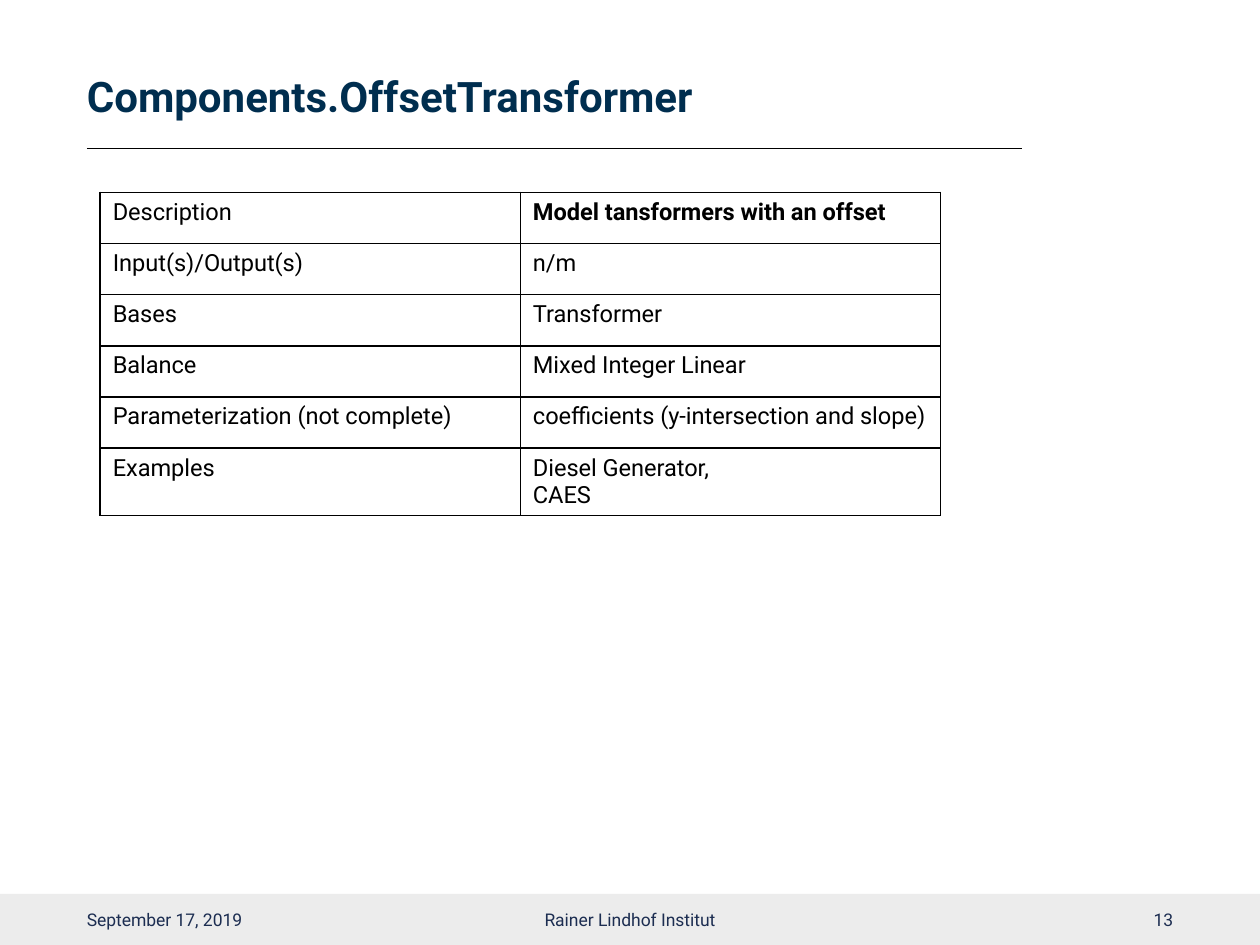
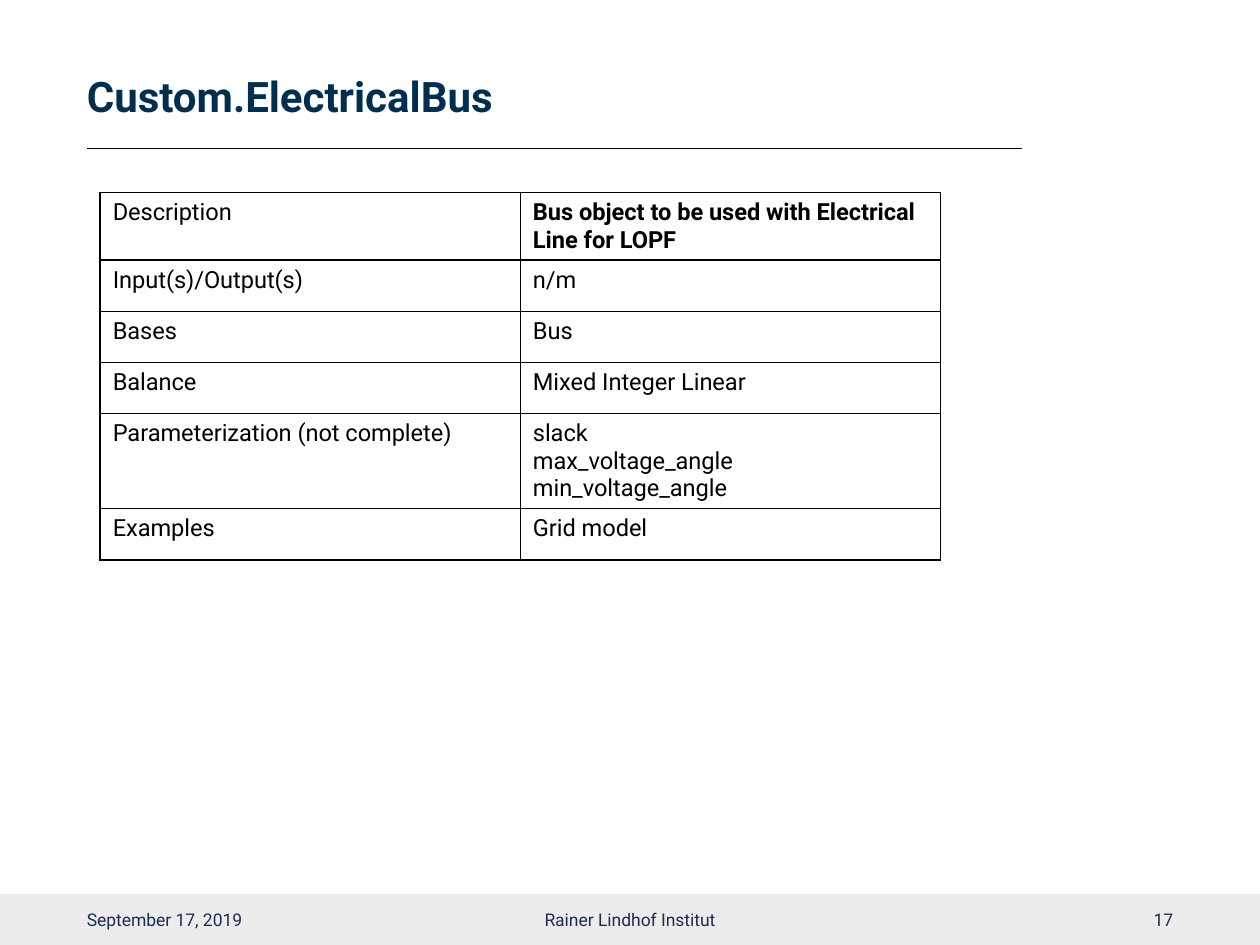
from lxml.etree import SubElement
from pptx import Presentation
from pptx.dml.color import RGBColor
from pptx.enum.shapes import MSO_CONNECTOR, MSO_SHAPE
from pptx.enum.text import MSO_ANCHOR, MSO_AUTO_SIZE, PP_ALIGN
from pptx.oxml.ns import qn
from pptx.util import Cm, Pt

COLORS = {
    "title": "002E4F",
    "footer_text": "1C2D51",
    "footer_band": "ECECEC",
    "black": "000000",
}
FONT = "Roboto"
TITLE_ONLY = 5
SLIDE_WIDTH, SLIDE_HEIGHT = 25.4, 19.05
MARGIN = 1.75

# Boxes are left, top, width, height in centimetres.
TITLE_BOX = (MARGIN, 0.97, 18.86, 2.03)
TABLE_BOX = (2.02, 3.88, 16.94, 6.18)
FOOTER_BOX = (0, 18.02, SLIDE_WIDTH, 1.03)

FOOTER_DATE = "September 17, 2019"
FOOTER_INSTITUTE = "Rainer Lindhof Institut"
ROW_LABELS = [
    "Description",
    "Input(s)/Output(s)",
    "Bases",
    "Balance",
    "Parameterization (not complete)",
    "Examples",
]
COMPONENTS = [
    {
        "title": "Components.OffsetTransformer",
        "number": 13,
        "values": [
            "Model tansformers with an offset",
            "n/m",
            "Transformer",
            "Mixed Integer Linear",
            "coefficients (y-intersection and slope)",
            "Diesel Generator,\nCAES",
        ],
    },
    {
        "title": "Custom.ElectricalBus",
        "number": 17,
        "values": [
            "Bus object to be used with Electrical Line for LOPF",
            "n/m",
            "Bus",
            "Mixed Integer Linear",
            "slack\nmax_voltage_angle\nmin_voltage_angle",
            "Grid model",
        ],
    },
]


def color(name):
    return RGBColor.from_string(COLORS[name])


def format_text(text_frame, size, color_name, bold=False, alignment=PP_ALIGN.LEFT):
    for paragraph in text_frame.paragraphs:
        paragraph.alignment = alignment
        for run in paragraph.runs:
            run.font.name = FONT
            run.font.size = Pt(size)
            run.font.bold = bold
            run.font.color.rgb = color(color_name)


def set_frame(text_frame, margin_left, margin_right):
    text_frame.word_wrap = True
    text_frame.auto_size = MSO_AUTO_SIZE.NONE
    text_frame.vertical_anchor = MSO_ANCHOR.MIDDLE
    text_frame.margin_left, text_frame.margin_right = Cm(margin_left), Cm(margin_right)
    text_frame.margin_top = text_frame.margin_bottom = Cm(0.13)


def add_title(slide, box, text):
    """Fill the title placeholder and underline it along the bottom of the box."""
    left, top, width, height = box
    title = slide.shapes.title
    title.left, title.top, title.width, title.height = map(Cm, box)
    text_frame = title.text_frame
    text_frame.text = text
    set_frame(text_frame, 0, 0.25)
    format_text(text_frame, 24, "title", bold=True)
    text_frame.paragraphs[0].line_spacing = 0.9

    bottom = Cm(top + height)
    rule = slide.shapes.add_connector(
        MSO_CONNECTOR.STRAIGHT, Cm(left), bottom, Cm(left + width), bottom
    )
    rule.line.color.rgb = color("black")
    rule.line.width = Pt(0.5)
    SubElement(rule._element.spPr, qn("a:effectLst"))


def add_footer(slide, box, number):
    left, top, width, height = box
    band = slide.shapes.add_shape(MSO_SHAPE.RECTANGLE, *map(Cm, box))
    band.shadow.inherit = False
    band.fill.solid()
    band.fill.fore_color.rgb = color("footer_band")
    band.line.fill.background()

    side_width, center_width = 5.72, 8.58
    entries = [
        (FOOTER_DATE, MARGIN, side_width, PP_ALIGN.LEFT),
        (FOOTER_INSTITUTE, (width - center_width) / 2, center_width, PP_ALIGN.CENTER),
        (str(number), width - MARGIN - side_width, side_width, PP_ALIGN.RIGHT),
    ]
    for text, offset, entry_width, alignment in entries:
        text_box = slide.shapes.add_textbox(
            Cm(left + offset), Cm(top), Cm(entry_width), Cm(height)
        )
        text_box.text_frame.text = text
        set_frame(text_box.text_frame, 0, 0)
        format_text(text_box.text_frame, 10, "footer_text", alignment=alignment)


def add_cell_borders(cell):
    properties = cell._tc.get_or_add_tcPr()
    for side in ("a:lnL", "a:lnR", "a:lnT", "a:lnB"):
        line = SubElement(properties, qn(side), w=str(Pt(1)))
        fill = SubElement(line, qn("a:solidFill"))
        SubElement(fill, qn("a:srgbClr"), val=COLORS["black"])


def add_property_table(slide, box, values):
    table = slide.shapes.add_table(len(ROW_LABELS), 2, *map(Cm, box)).table
    table.first_row = False
    table.horz_banding = False
    for row, texts in enumerate(zip(ROW_LABELS, values)):
        for column, text in enumerate(texts):
            cell = table.cell(row, column)
            cell.text_frame.text = text
            is_description = (row, column) == (0, 1)
            format_text(cell.text_frame, 13.5, "black", bold=is_description)
            add_cell_borders(cell)
            cell.fill.background()


def add_component_slide(presentation, component):
    slide = presentation.slides.add_slide(presentation.slide_layouts[TITLE_ONLY])
    add_footer(slide, FOOTER_BOX, component["number"])
    add_title(slide, TITLE_BOX, component["title"])
    add_property_table(slide, TABLE_BOX, component["values"])


def main():
    presentation = Presentation()
    presentation.slide_width = Cm(SLIDE_WIDTH)
    presentation.slide_height = Cm(SLIDE_HEIGHT)
    for component in COMPONENTS:
        add_component_slide(presentation, component)
    presentation.save("out.pptx")


if __name__ == "__main__":
    main()
